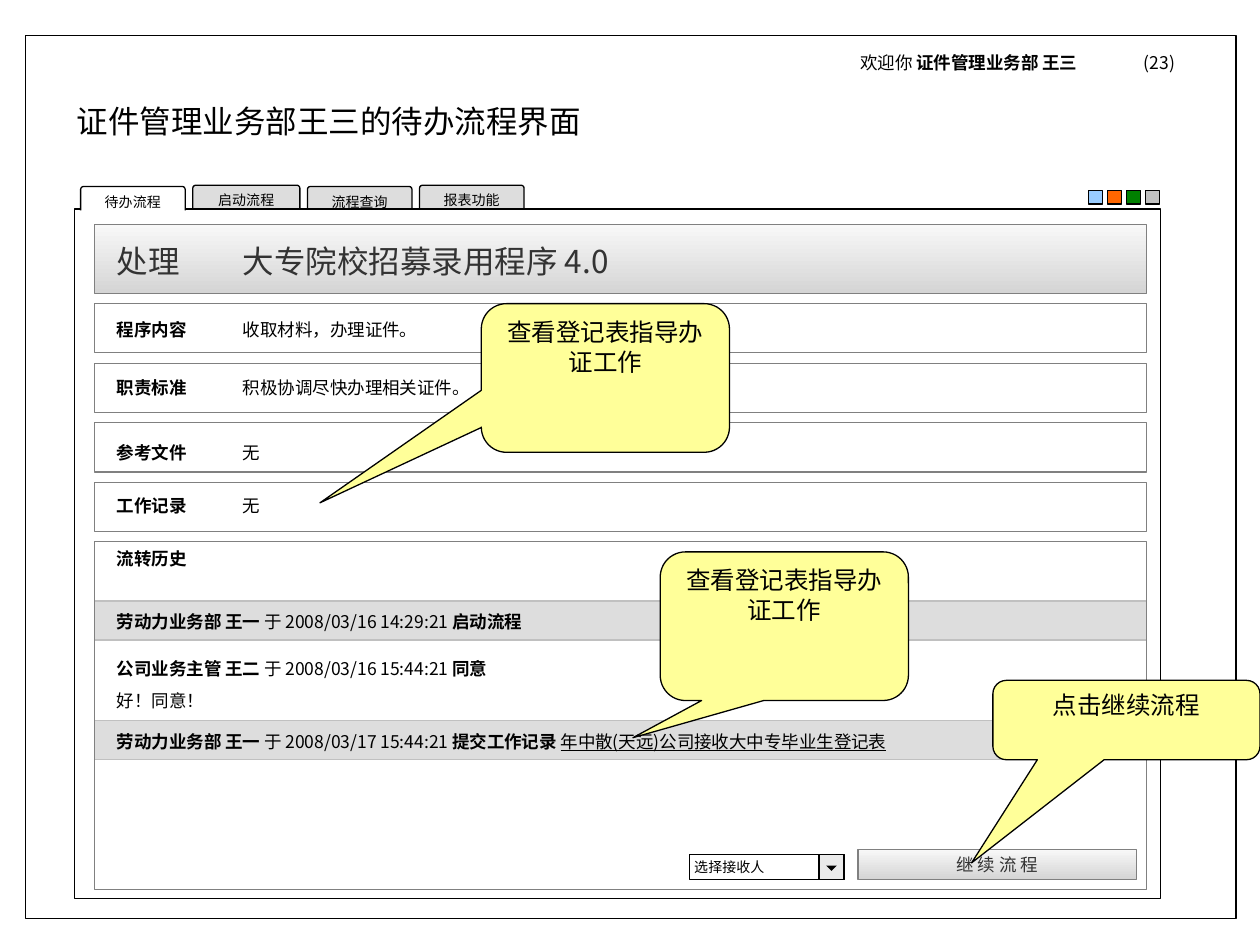
from lxml.etree import SubElement
from pptx import Presentation
from pptx.dml.color import RGBColor
from pptx.enum.shapes import MSO_SHAPE
from pptx.enum.text import MSO_ANCHOR, PP_ALIGN
from pptx.oxml.ns import qn
from pptx.util import Inches, Pt

BLACK = RGBColor(0x00, 0x00, 0x00)
WHITE = RGBColor(0xFF, 0xFF, 0xFF)
DARK = RGBColor(0x33, 0x33, 0x33)
BORDER = RGBColor(0x80, 0x80, 0x80)
SILVER = RGBColor(0xC0, 0xC0, 0xC0)
BAND = RGBColor(0xDD, 0xDD, 0xDD)
ARROW_FACE = RGBColor(0xEA, 0xEA, 0xEA)
FADE = (RGBColor(0xF8, 0xF8, 0xF8), RGBColor(0xD5, 0xD5, 0xD5))
YELLOW = RGBColor(0xFF, 0xFF, 0x99)
SWATCHES = (RGBColor(0x99, 0xCC, 0xFF), RGBColor(0xFF, 0x66, 0x00),
            RGBColor(0x00, 0x80, 0x00), SILVER)
CJK = "Noto Sans CJK SC"


def add_shape(page, kind, box, fill=WHITE, line=BLACK):
    shape = page.shapes.add_shape(kind, *map(Inches, box))
    shape.shadow.inherit = False
    if fill is None:
        shape.fill.background()
    elif fill is FADE:
        shape.fill.gradient()
        shape.fill.gradient_angle = 270
        for stop, color in zip(shape.fill.gradient_stops, FADE):
            stop.color.rgb = color
    else:
        shape.fill.solid()
        shape.fill.fore_color.rgb = fill
    if line is None:
        shape.line.fill.background()
    else:
        shape.line.color.rgb = line
        shape.line.width = Pt(0.75)
    return shape


def add_span(para, text, size=10, bold=False, underline=False, color=BLACK, name=CJK):
    span = para.add_run()
    span.text = text
    span.font.name = name
    SubElement(span.font._element, qn("a:ea")).set("typeface", CJK)
    span.font.size = Pt(size)
    span.font.bold = bold
    span.font.underline = underline
    span.font.color.rgb = color


def add_label(shape, text, size, color=BLACK, name=CJK, align=PP_ALIGN.CENTER,
              anchor=MSO_ANCHOR.MIDDLE, wrap=False):
    frame = shape.text_frame
    frame.word_wrap = wrap
    frame.vertical_anchor = anchor
    para = frame.paragraphs[0]
    para.alignment = align
    add_span(para, text, size, color=color, name=name)


def add_text(page, box, *lines, size=10, color=BLACK, tab=1):
    frame = page.shapes.add_textbox(*map(Inches, box)).text_frame
    frame.word_wrap = True
    for index, spans in enumerate(lines):
        para = frame.paragraphs[0] if index == 0 else frame.add_paragraph()
        tabs = SubElement(para._p.get_or_add_pPr(), qn("a:tabLst"))
        SubElement(tabs, qn("a:tab"), pos=str(Inches(tab)), algn="l")
        if index:
            para.space_before = Pt(6.2)
        for text, bold, *underline in spans:
            add_span(para, text, size, bold, bool(underline), color)


def add_header(page, box):
    left, top, width, height = box
    add_shape(page, MSO_SHAPE.RECTANGLE, box)
    title = page.shapes.title
    title.element.getparent().append(title.element)
    title.left, title.top = Inches(left + 0.31), Inches(top + 0.48)
    title.width, title.height = Inches(4.96), Inches(0.4)
    add_label(title, "证件管理业务部王三的待办流程界面", 18, align=PP_ALIGN.LEFT,
              anchor=MSO_ANCHOR.TOP, wrap=True)
    add_text(page, (left + 6.53, top + 0.08, 2.9, 0.27),
             [("欢迎你 ", False), ("证件管理业务部 王三\t", True), ("(23)", False)],
             tab=2.25)


def add_tab(page, box, text, fill):
    tab = add_shape(page, MSO_SHAPE.ROUNDED_RECTANGLE, box, fill)
    tab.adjustments[0] = 0.1
    add_label(tab, text, 8)


def add_panel(page, box):
    left, top, width, height = box
    for offset, rise, tab_width, text in (
            (2.74, 0.19, 0.83, "报表功能"),
            (0.94, 0.19, 0.85, "启动流程"),
            (1.85, 0.18, 0.83, "流程查询")):
        add_tab(page, (left + offset, top - rise, tab_width, 0.24), text, BAND)
    add_shape(page, MSO_SHAPE.RECTANGLE, box)
    add_tab(page, (left + 0.05, top - 0.18, 0.83, 0.24), "待办流程", WHITE)
    add_shape(page, MSO_SHAPE.RECTANGLE, (left + 0.01, top + 0.01, 0.91, 0.08), line=None)
    for index, color in enumerate(SWATCHES):
        add_shape(page, MSO_SHAPE.RECTANGLE,
                  (left + 8.05 + 0.15 * index, top - 0.15, 0.11, 0.11), color)


def add_banner(page, box):
    left, top, width, height = box
    add_shape(page, MSO_SHAPE.RECTANGLE, box, FADE, BORDER)
    add_text(page, (left + 0.08, top + 0.09, 4.73, 0.4),
             [("处理\t大专院校招募录用程序 4.0", False)], size=18, color=DARK)


def add_field(page, box, name, value, drop):
    left, top, width, height = box
    add_shape(page, MSO_SHAPE.RECTANGLE, box, line=BORDER)
    add_text(page, (left + 0.08, top + drop, 8.11, 0.27),
             [(name + "\t", True), (value, False)])


def add_band(page, box, spans):
    left, top, width, height = box
    add_shape(page, MSO_SHAPE.RECTANGLE, box, BAND, SILVER)
    add_text(page, (left + 0.08, top + 0.03, 6.54, 0.27), spans)


def add_history(page, box):
    left, top, width, height = box
    add_text(page, (left + 0.08, top, 5.98, 0.27), [("流转历史", True)])
    add_band(page, (left, top + 0.47, width, 0.31),
             [("劳动力业务部 王一 ", True), ("于 2008/03/16 14:29:21 ", False),
              ("启动流程", True)])
    add_text(page, (left + 0.08, top + 0.87, 6.54, 0.52),
             [("公司业务主管 王二", True), (" 于 2008/03/16 15:44:21 ", False),
              ("同意", True)],
             [("好！同意！", False)])
    add_band(page, (left, top + 1.42, width, 0.31),
             [("劳动力业务部 王一", True), (" 于 2008/03/17 15:44:21 ", False),
              ("提交工作记录 ", True),
              ("年中散(天远)公司接收大中专毕业生登记表", False, True)])
    add_shape(page, MSO_SHAPE.RECTANGLE, box, None, BORDER)
    add_receiver(page, (left + 4.72, top + 2.48, 1.23, 0.2))
    button = add_shape(page, MSO_SHAPE.RECTANGLE,
                       (left + 6.06, top + 2.44, 2.21, 0.24), FADE, BORDER)
    add_label(button, "继 续 流 程", 10, DARK, "Arial")


def add_receiver(page, box):
    left, top, width, height = box
    field = add_shape(page, MSO_SHAPE.RECTANGLE, box)
    frame = field.text_frame
    frame.margin_left = frame.margin_right = Inches(0.04)
    frame.margin_top = frame.margin_bottom = 0
    add_label(field, "选择接收人", 8, name="Cabin", align=PP_ALIGN.LEFT, wrap=True)
    add_shape(page, MSO_SHAPE.RECTANGLE,
              (left + width - height, top, height, height), ARROW_FACE)
    arrow = add_shape(page, MSO_SHAPE.RIGHT_TRIANGLE,
                      (left + width - 0.13, top + 0.06, 0.06, 0.06), BLACK, None)
    arrow.rotation = 315


def add_callout(page, box, text, tip):
    callout = add_shape(page, MSO_SHAPE.ROUNDED_RECTANGULAR_CALLOUT, box, YELLOW)
    for index, value in enumerate((*tip, 0.17)):
        callout.adjustments[index] = value
    add_label(callout, text, 14, name="Arial", anchor=MSO_ANCHOR.TOP, wrap=True)


def main():
    deck = Presentation()
    deck.slide_width, deck.slide_height = Inches(10), Inches(7.5)
    page = deck.slides.add_slide(deck.slide_layouts[5])
    add_header(page, (0.2, 0.28, 9.61, 7.01))
    add_panel(page, (0.59, 1.66, 8.62, 5.47))
    add_banner(page, (0.75, 1.78, 8.35, 0.55))
    fields = (("程序内容", "收取材料，办理证件。", 0.07),
              ("职责标准", "积极协调尽快办理相关证件。", 0.06),
              ("参考文件", "无", 0.1),
              ("工作记录", "无", 0.05))
    for index, field in enumerate(fields):
        add_field(page, (0.75, 2.41 + 0.473 * index, 8.35, 0.39), *field)
    add_history(page, (0.75, 4.3, 8.35, 2.76))
    guide = "查看登记表指导办证工作"
    add_callout(page, (3.82, 2.41, 1.97, 1.18), guide, (-1.15, 0.84))
    add_callout(page, (7.88, 5.4, 2.12, 0.63), "点击继续流程", (-0.58, 1.8))
    add_callout(page, (5.24, 4.38, 1.97, 1.18), guide, (-0.61, 0.75))
    deck.save("out.pptx")


if __name__ == "__main__":
    main()
